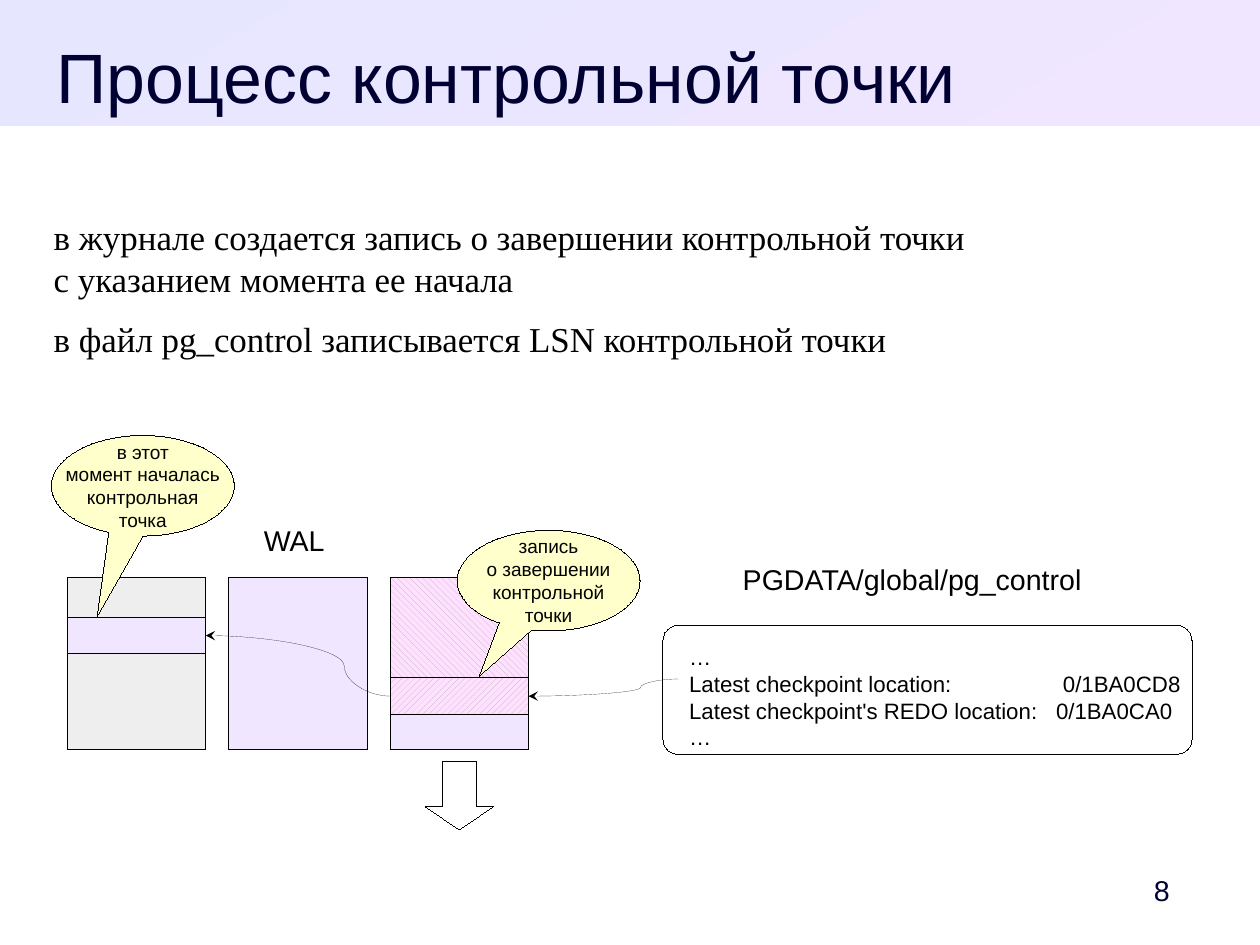
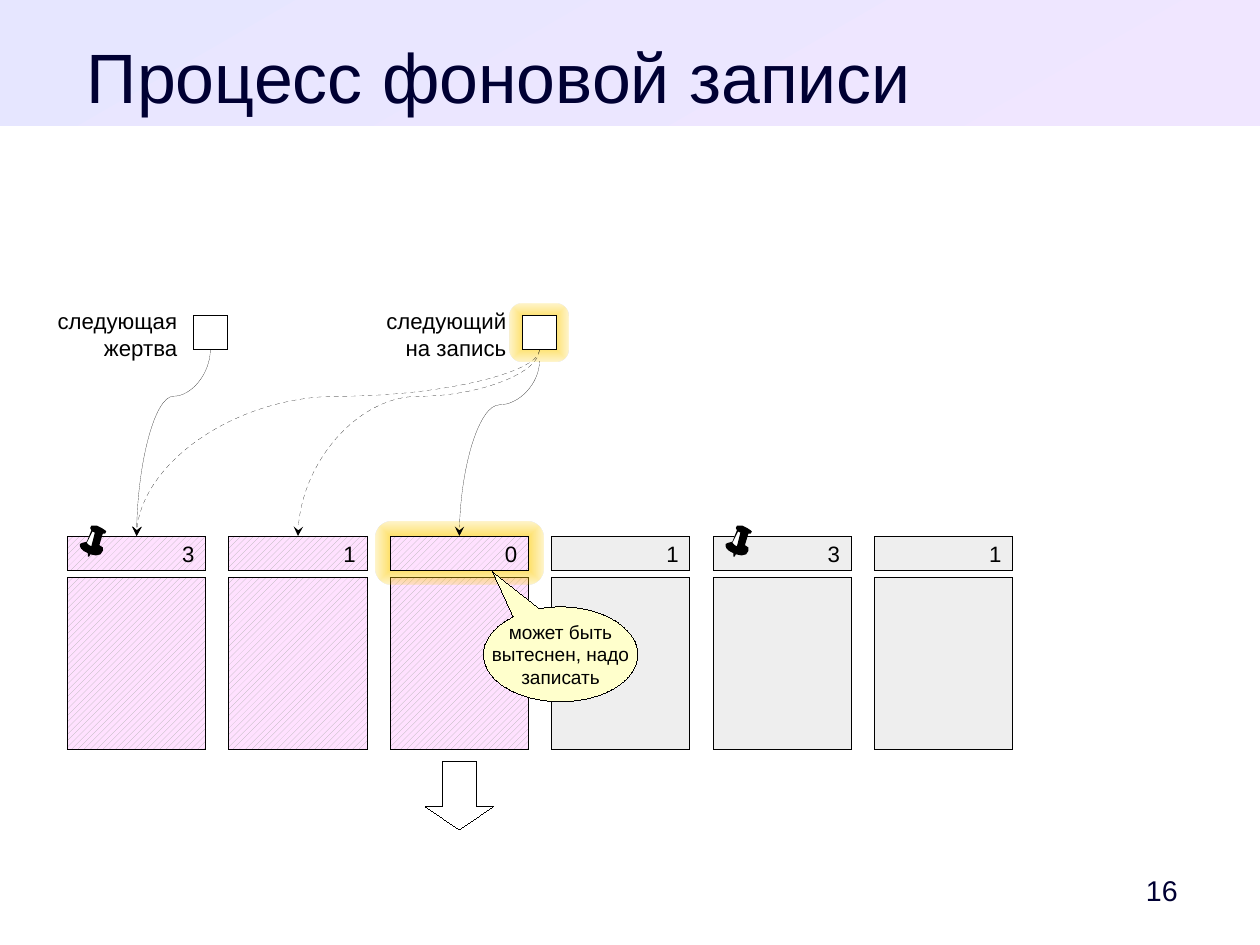
from lxml.etree import SubElement
from pptx import Presentation
from pptx.dml.color import RGBColor
from pptx.enum.dml import MSO_LINE, MSO_PATTERN
from pptx.enum.shapes import MSO_CONNECTOR, MSO_SHAPE
from pptx.enum.text import MSO_ANCHOR, MSO_AUTO_SIZE, PP_ALIGN
from pptx.oxml import parse_xml
from pptx.oxml.ns import nsdecls, qn
from pptx.util import Cm, Inches, Pt

# Palette
INK = RGBColor(0x00, 0x00, 0x00)
NAVY = RGBColor(0x00, 0x00, 0x33)
WHITE = RGBColor(0xFF, 0xFF, 0xFF)
GREY = RGBColor(0xEE, 0xEE, 0xEE)
HATCH = RGBColor(0xB2, 0xB2, 0xB2)
PINK = RGBColor(0xFF, 0xE1, 0xFF)
LILAC = RGBColor(0xF0, 0xE6, 0xFF)
PERIWINKLE = RGBColor(0xE6, 0xE6, 0xFF)
CREAM = RGBColor(0xFF, 0xFF, 0xCC)
GLOW = RGBColor(0xFF, 0xCC, 0x00)

UP_HATCH = MSO_PATTERN.WIDE_UPWARD_DIAGONAL
DOWN_HATCH = MSO_PATTERN.WIDE_DOWNWARD_DIAGONAL

# Slide size, and a grid in inches
SLIDE_W, SLIDE_H = Cm(28), Cm(21)
MARGIN = 0.47
FIRST_COLUMN, LAST_COLUMN, COLUMN_W = 0.59, 7.65, 1.21
COLUMN_PITCH = (LAST_COLUMN - FIRST_COLUMN) / 5
PAGE_TOP, PAGE_H = 5.05, 1.51
HEADER_TOP, HEADER_H = 4.69, 0.3
POINTER_TOP, POINTER_SIZE = 2.76, 0.3

# Pushpin contours, in hundredths of an inch
PIN_BODY = [(8, 27), (7, 27), (7, 24), (3, 22), (1, 20), (0, 18), (0.5, 16), (2, 15),
            (6, 14), (10, 4), (9, 2), (10, 0.5), (12, 0), (15, 0.5), (19, 2), (22, 3.5),
            (23, 5), (22, 7), (20, 7), (17, 17), (19.5, 19), (20, 22), (18, 25),
            (14, 26), (9, 25)]
PIN_SHINE = [(6, 15), (8, 17), (10, 18), (13, 6), (11, 5)]


def column(index):
    return FIRST_COLUMN + COLUMN_PITCH * index


def column_centre(index):
    return column(index) + COLUMN_W / 2


def inches(*lengths):
    return [Inches(length) for length in lengths]


def set_values(target, values):
    for name, value in values.items():
        setattr(target, name, value)


def place(placeholder, box):
    set_values(placeholder, dict(zip(("left", "top", "width", "height"), inches(*box))))


def write(frame, text, size, color=INK, font="Arial", insets=(0.1, 0.05, 0.1, 0.05),
          wrap=True, anchor=MSO_ANCHOR.TOP, **paragraph_format):
    """Fill a text frame; each line of text becomes a paragraph."""
    frame.text = text
    left, top, right, bottom = inches(*insets)
    set_values(frame, dict(auto_size=MSO_AUTO_SIZE.NONE, word_wrap=wrap,
                           vertical_anchor=anchor, margin_left=left, margin_top=top,
                           margin_right=right, margin_bottom=bottom))
    for paragraph in frame.paragraphs:
        set_values(paragraph, paragraph_format)
        for line_break in paragraph._p.findall(qn("a:br")):
            SubElement(line_break, qn("a:rPr"), sz=str(size * 100))
        for run in paragraph.runs:
            set_values(run.font, dict(size=Pt(size), name=font))
            run.font.color.rgb = color


def add_label(slide, box, text, size, **text_format):
    label = slide.shapes.add_textbox(*inches(*box))
    write(label.text_frame, text, size, **text_format)


def draw_hairline(figure):
    """Thinnest line; an explicit zero overrides the width of the theme."""
    figure.line.color.rgb = INK
    outline = figure.element.spPr.find(qn("a:ln"))
    outline.set("w", "0")
    return outline


def add_figure(slide, kind, box, fill=WHITE, outlined=True, adjust=()):
    """Preset shape with a solid colour or, for a pattern, a pink hatch."""
    figure = slide.shapes.add_shape(kind, *inches(*box))
    figure.shadow.inherit = False
    for index, value in enumerate(adjust):
        figure.adjustments[index] = value
    if isinstance(fill, RGBColor):
        figure.fill.solid()
        figure.fill.fore_color.rgb = fill
    else:
        figure.fill.patterned()
        figure.fill.pattern = fill
        figure.fill.fore_color.rgb = HATCH
        figure.fill.back_color.rgb = PINK
    if outlined:
        draw_hairline(figure)
    else:
        figure.line.fill.background()
    return figure


def add_block(slide, index, top, height, fill):
    return add_figure(slide, MSO_SHAPE.RECTANGLE,
                      (column(index), top, COLUMN_W, height), fill)


def add_callout(slide, box, tip, text):
    callout = add_figure(slide, MSO_SHAPE.OVAL_CALLOUT, box, CREAM, adjust=tip)
    write(callout.text_frame, text, 12, wrap=False, anchor=MSO_ANCHOR.MIDDLE,
          alignment=PP_ALIGN.CENTER)


def add_write_arrow(slide):
    """Block arrow under the third column."""
    side = 0.6
    add_figure(slide, MSO_SHAPE.DOWN_ARROW,
               (column_centre(2) - side / 2, 6.66, side, side), adjust=(0.5, 0.34))


def add_curve(slide, start, end, turn, dashed=False):
    """Curved arrow leaving downwards (turn 90) or to the left (turn 180)."""
    dx, dy = end[0] - start[0], end[1] - start[1]
    across, down = (dy, -dx) if turn == 90 else (-dx, -dy)
    mid_x, mid_y = start[0] + dx / 2, start[1] + dy / 2
    curve = slide.shapes.add_connector(
        MSO_CONNECTOR.CURVE, *inches(mid_x - across / 2, mid_y - down / 2,
                                     mid_x + across / 2, mid_y + down / 2))
    outline = draw_hairline(curve)
    if dashed:
        curve.line.dash_style = MSO_LINE.DASH
    SubElement(outline, qn("a:tailEnd"), type="stealth")
    properties = curve.element.spPr
    properties.find(qn("a:xfrm")).set("rot", str(turn * 60000))
    bends = properties.find(qn("a:prstGeom")).find(qn("a:avLst"))
    SubElement(bends, qn("a:gd"), name="adj1", fmla="val 25000")
    SubElement(properties, qn("a:effectLst"))


def add_glow(slide, box, rounding):
    """Yellow halo, opaque in the middle and fading outwards."""
    halo = add_figure(slide, MSO_SHAPE.ROUNDED_RECTANGLE, box, GLOW,
                      outlined=False, adjust=(rounding,))
    properties = halo.element.spPr
    properties.replace(properties.find(qn("a:solidFill")), parse_xml(
        f'<a:gradFill {nsdecls("a")} rotWithShape="1"><a:gsLst>'
        f'<a:gs pos="0"><a:srgbClr val="{GLOW}"/></a:gs>'
        f'<a:gs pos="100000"><a:srgbClr val="{GLOW}"><a:alpha val="20000"/></a:srgbClr></a:gs>'
        '</a:gsLst><a:path path="rect">'
        '<a:fillToRect l="50000" t="50000" r="50000" b="50000"/></a:path></a:gradFill>'))


def add_pin(slide, index):
    left, top = column(index) + 0.11, 4.6
    shine = add_figure(slide, MSO_SHAPE.RECTANGLE, (left + 0.07, top + 0.05, 0.07, 0.14),
                       outlined=False)
    shine.rotation = 24.8
    outline = slide.shapes.build_freeform(*PIN_BODY[0], scale=Inches(0.01))
    outline.add_line_segments(PIN_BODY[1:])
    outline.move_to(*PIN_SHINE[0])
    outline.add_line_segments(PIN_SHINE[1:])
    pin = outline.convert_to_shape(*inches(left, top))
    pin.shadow.inherit = False
    pin.fill.solid()
    pin.fill.fore_color.rgb = INK
    pin.line.fill.background()


def add_master_band(deck, slide):
    """Gradient title band, moved to the master so that every slide has it."""
    band = add_figure(slide, MSO_SHAPE.RECTANGLE, (0, 0, SLIDE_W.inches, 1.1),
                      outlined=False)
    band.fill.gradient()
    band.fill.gradient_angle = 300
    for stop, color in zip(band.fill.gradient_stops, (PERIWINKLE, LILAC)):
        stop.color.rgb = color
    deck.slide_master.shapes.element.insert(2, band.element)


def start_slide(deck, layout, title, title_width, number):
    slide = deck.slides.add_slide(deck.slide_layouts[layout])
    heading = slide.shapes.title
    place(heading, (MARGIN, 0.29, title_width, 0.69))
    write(heading.text_frame, title, 44, NAVY, insets=(0, 0, 0, 0),
          alignment=PP_ALIGN.CENTER)
    add_label(slide, (9.78, 7.55, 0.77, 0.47), number, 18, color=NAVY,
              anchor=MSO_ANCHOR.MIDDLE, alignment=PP_ALIGN.CENTER)
    return slide


def build_checkpoint(deck):
    slide = start_slide(deck, 1, "Процесс контрольной точки", 7.93, "8")
    add_master_band(deck, slide)

    # Statements
    statements = slide.placeholders[1]
    place(statements, (MARGIN, 1.89, SLIDE_W.inches - 2 * MARGIN, 5.71))
    write(statements.text_frame,
          "в журнале создается запись о завершении контрольной точки\v"
          "с указанием момента ее начала\n"
          "в файл pg_control записывается LSN контрольной точки",
          22, font="Times New Roman", insets=(0, 0, 0, 0),
          line_spacing=1.0, space_before=Pt(0), space_after=Pt(11.3))
    for paragraph in statements.text_frame.paragraphs:
        layout = paragraph._p.get_or_add_pPr()
        layout.set("marL", "0")
        layout.set("indent", "0")
        SubElement(layout, qn("a:buNone"))

    # WAL segments: column, top, height, fill
    for segment in ((0, PAGE_TOP, PAGE_H, GREY), (0, 5.4, 0.32, LILAC),
                    (1, PAGE_TOP, PAGE_H, LILAC), (2, PAGE_TOP, PAGE_H, LILAC),
                    (2, 5.93, 0.32, UP_HATCH), (2, PAGE_TOP, 0.88, DOWN_HATCH)):
        add_block(slide, *segment)
    add_write_arrow(slide)
    add_label(slide, (2.21, 4.53, 0.77, 0.38), "WAL", 18)

    # Control file
    add_label(slide, (6.4, 4.87, 3.3, 0.38), "PGDATA/global/pg_control", 18)
    control = add_figure(slide, MSO_SHAPE.ROUNDED_RECTANGLE, (5.8, 5.47, 4.63, 1.13),
                         adjust=(0.12,))
    write(control.text_frame,
          "…\nLatest checkpoint location:\t0/1BA0CD8\n"
          "Latest checkpoint's REDO location:\t0/1BA0CA0\n…",
          14, insets=(0.19, 0.12, 0, 0), alignment=PP_ALIGN.LEFT)
    for paragraph, stop in zip(control.text_frame.paragraphs[1:3], (3.27, 3.21)):
        tabs = SubElement(paragraph._p.get_or_add_pPr(), qn("a:tabLst"))
        SubElement(tabs, qn("a:tab"), pos=str(Inches(stop)), algn="l")

    # References and remarks
    add_curve(slide, (column(2), 6.09), (column(0) + COLUMN_W, 5.56), 180)
    add_curve(slide, (5.93, 5.94), (column(2) + COLUMN_W, 6.09), 180)
    add_callout(slide, (0.45, 3.81, 1.6, 0.88), (-0.25, 1.3),
                "в этот\nмомент началась\nконтрольная\nточка")
    add_callout(slide, (4, 4.64, 1.6, 0.88), (-0.38, 0.95),
                "запись\nо завершении\nконтрольной\nточки")


def build_background_writer(deck):
    slide = start_slide(deck, 5, "Процесс фоновой записи", 7.8, "16")
    usage_counts = "310131"
    fills = [UP_HATCH] * 3 + [GREY] * 3

    # Buffers with their usage counts
    for index, fill in enumerate(fills):
        add_block(slide, index, PAGE_TOP, PAGE_H, fill)
    add_glow(slide, (column(2) - 0.13, HEADER_TOP - 0.13, COLUMN_W + 0.26, 0.55), 0.26)
    for index, (count, fill) in enumerate(zip(usage_counts, fills)):
        header = add_block(slide, index, HEADER_TOP, HEADER_H, fill)
        write(header.text_frame, count, 14, anchor=MSO_ANCHOR.MIDDLE,
              alignment=PP_ALIGN.RIGHT)
    for index in (0, 4):
        add_pin(slide, index)

    # Pointers and their targets: column, start below the pointer, dashed
    add_glow(slide, (4.46, 2.66, 0.51, 0.5), 0.22)
    for left, text, targets in (
            (1.69, "следующая\nжертва", [(0, 0, False)]),
            (4.57, "следующий\nна запись", [(0, 0, True), (1, 0, True), (2, 0.1, False)])):
        add_label(slide, (left - 1.44, 2.64, 1.4, 0.54), text, 14,
                  alignment=PP_ALIGN.RIGHT)
        add_figure(slide, MSO_SHAPE.RECTANGLE,
                   (left, POINTER_TOP, POINTER_SIZE, POINTER_SIZE))
        for index, gap, dashed in targets:
            start = (left + POINTER_SIZE / 2, POINTER_TOP + POINTER_SIZE + gap)
            add_curve(slide, start, (column_centre(index), HEADER_TOP), 90, dashed)

    add_callout(slide, (4.23, 5.31, 1.35, 0.83), (-0.44, -0.87),
                "может быть\nвытеснен, надо\nзаписать")
    add_write_arrow(slide)


def main():
    deck = Presentation()
    set_values(deck, dict(slide_width=SLIDE_W, slide_height=SLIDE_H))
    build_checkpoint(deck)
    build_background_writer(deck)
    deck.save("out.pptx")


if __name__ == "__main__":
    main()
